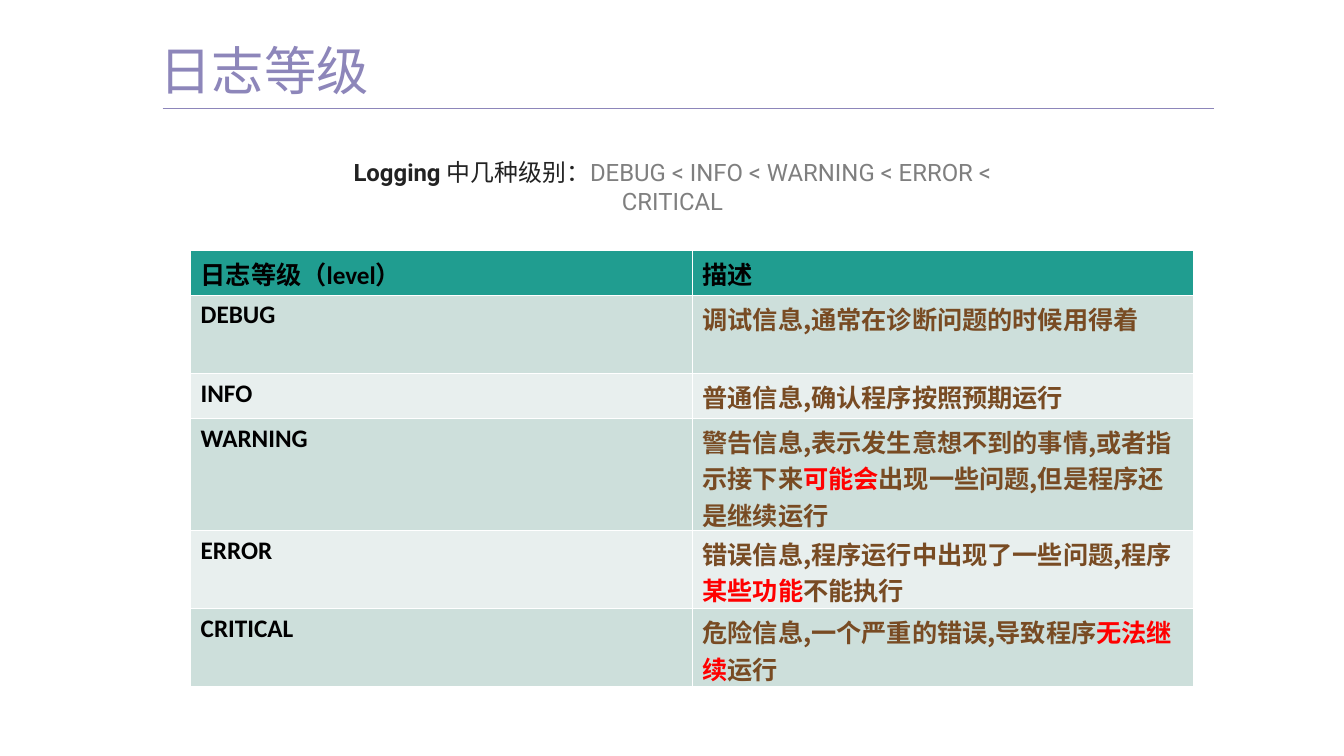
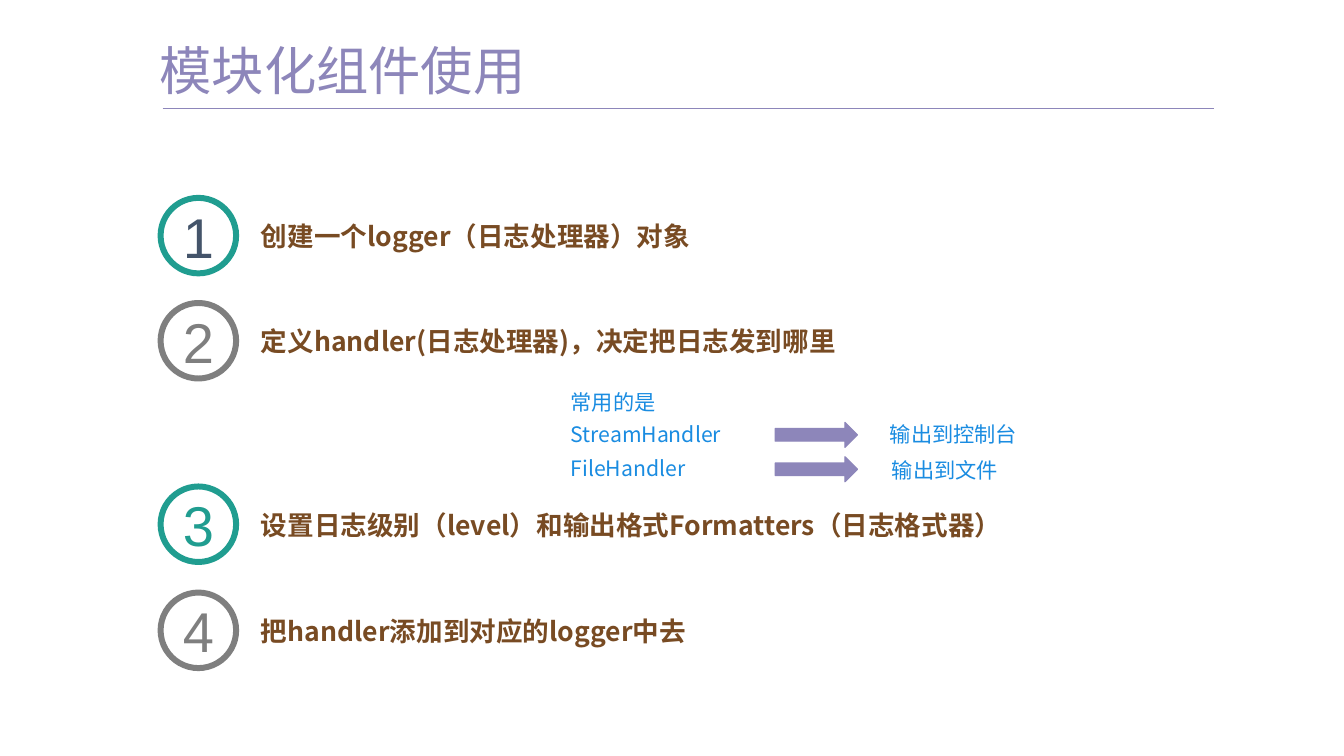
from lxml.etree import SubElement as Sub
from pptx import Presentation
from pptx.dml.color import RGBColor
from pptx.enum.shapes import MSO_CONNECTOR as Link, MSO_SHAPE as Form
from pptx.enum.text import MSO_ANCHOR as Anchor, MSO_AUTO_SIZE as Fit, PP_ALIGN as Align
from pptx.oxml.ns import qn
from pptx.util import Inches, Pt

NOTO = "Noto Sans CJK SC"
PURPLE, TEAL, GREY, BROWN = "8D86BA", "209D90", "7F7F7F", "784B23"
BLUE, RED, WHITE, BLACK, SLATE = "1A8CE1", "FF0000", "FFFFFF", "000000", "44546A"
BARE = dict(margin_left=0, margin_right=0, margin_top=0, margin_bottom=0,
            auto_size=Fit.NONE, word_wrap=True)
MID = dict(BARE, vertical_anchor=Anchor.MIDDLE)


def paint(item, tone):
    if hasattr(item, "solid"):
        item.solid()
        item = item.fore_color
    item.rgb = RGBColor.from_string(tone)


def write(frame, runs, size, face=NOTO, bold=False, align=Align.LEFT, box=None):
    for key, val in (box or {}).items():
        setattr(frame, key, val)
    para = frame.paragraphs[0]
    para.alignment = align
    for text, tone, *heavy in runs:
        run = para.add_run()
        run.text = text
        look = dict(size=Pt(size), name=face, bold=heavy[0] if heavy else bold)
        for key, val in look.items():
            setattr(run.font, key, val)
        paint(run.font.color, tone)
        Sub(run.font._element, qn("a:ea")).set("typeface", NOTO)


deck = Presentation()
deck.slide_width, deck.slide_height = Inches(14.06), Inches(7.91)
pages = []
for name in ("日志等级", "模块化组件使用"):
    page = deck.slides.add_slide(deck.slide_layouts[5])
    pages.append(page)
    title = page.shapes.title
    spot = dict(left=1.67, top=0.47, width=7.17, height=0.66)
    for key, val in spot.items():
        setattr(title, key, Inches(val))
    write(title.text_frame, [(name, PURPLE)], 39.4,
          box=dict(BARE, vertical_anchor=Anchor.TOP))
    title.text_frame.paragraphs[0].line_spacing = 0.9
    rule = page.shapes.add_connector(
        Link.STRAIGHT, Inches(1.7), Inches(1.13), Inches(12.7), Inches(1.13))
    paint(rule.line.fill, PURPLE)
    rule.line.width = Pt(0.5)
    Sub(rule._element.spPr, qn("a:effectLst"))

levels, steps = pages

intro = levels.shapes.add_textbox(Inches(3.52), Inches(1.6), Inches(7.03), Inches(0.71))
write(intro.text_frame,
      [("Logging ", "222222", True), ("中几种级别：", "222222"),
       ("DEBUG < INFO < WARNING < ERROR < CRITICAL", GREY)],
      18, "Roboto", align=Align.CENTER, box=dict(word_wrap=True))

rows = [
    (0.47, "日志等级（level）", [("描述", BLACK)]),
    (0.82, "DEBUG", [("调试信息,通常在诊断问题的时候用得着", BROWN)]),
    (0.47, "INFO", [("普通信息,确认程序按照预期运行", BROWN)]),
    (1.17, "WARNING", [("警告信息,表示发生意想不到的事情,或者指示接下来", BROWN),
                       ("可能会", RED), ("出现一些问题,但是程序还是继续运行", BROWN)]),
    (0.82, "ERROR", [("错误信息,程序运行中出现了一些问题,程序", BROWN),
                     ("某些功能", RED), ("不能执行", BROWN)]),
    (0.82, "CRITICAL", [("危险信息,一个严重的错误,导致程序", BROWN),
                        ("无法继续", RED), ("运行", BROWN)]),
]
grid = levels.shapes.add_table(
    len(rows), 2, Inches(1.99), Inches(2.62), Inches(10.5), Inches(4.57)).table
for i, (high, level, note) in enumerate(rows):
    grid.rows[i].height = Inches(high)
    tone = TEAL if i == 0 else "CDDFDB" if i % 2 else "E8EFEE"
    for j, runs in enumerate(([(level, BLACK)], note)):
        cell = grid.cell(i, j)
        paint(cell.fill, tone)
        cell.margin_left = cell.margin_right = Inches(0.11)
        write(cell.text_frame, runs, 19, NOTO if i and j else "Calibri", True)

items = [
    (2.07, TEAL, SLATE, "创建一个logger（日志处理器）对象"),
    (3.17, GREY, GREY, "定义handler(日志处理器)，决定把日志发到哪里"),
    (5.09, TEAL, TEAL, "设置日志级别（level）和输出格式Formatters（日志格式器）"),
    (6.2, GREY, GREY, "把handler添加到对应的logger中去"),
]
for num, (top, ring, tone, text) in enumerate(items, 1):
    disc = steps.shapes.add_shape(
        Form.OVAL, Inches(1.68), Inches(top), Inches(0.79), Inches(0.79))
    disc.shadow.inherit = False
    paint(disc.fill, WHITE)
    paint(disc.line.fill, ring)
    disc.line.width = Pt(4.5)
    write(disc.text_frame, [(str(num), tone)], 42.2, "Arial", align=Align.CENTER, box=MID)
    label = steps.shapes.add_textbox(
        Inches(2.73), Inches(top + 0.23), Inches(8.22), Inches(0.34))
    write(label.text_frame, [(text, BROWN)], 20, bold=True, box=MID)

notes = [
    (5.97, 4.07, 1.98, "常用的是"),
    (5.97, 4.41, 1.98, "StreamHandler"),
    (5.97, 4.76, 1.98, "FileHandler"),
    (9.31, 4.41, 4.35, "输出到控制台"),
    (9.33, 4.78, 4.35, "输出到文件"),
]
for left, top, wide, text in notes:
    note = steps.shapes.add_textbox(
        Inches(left), Inches(top), Inches(wide), Inches(0.27))
    write(note.text_frame, [(text, BLUE)], 16, box=MID)

for top in (4.42, 4.78):
    arrow = steps.shapes.add_shape(
        Form.RIGHT_ARROW, Inches(8.11), Inches(top), Inches(0.86), Inches(0.26))
    arrow.shadow.inherit = False
    paint(arrow.fill, PURPLE)
    paint(arrow.line.fill, PURPLE)
    arrow.line.width = Pt(1)

deck.save("out.pptx")
